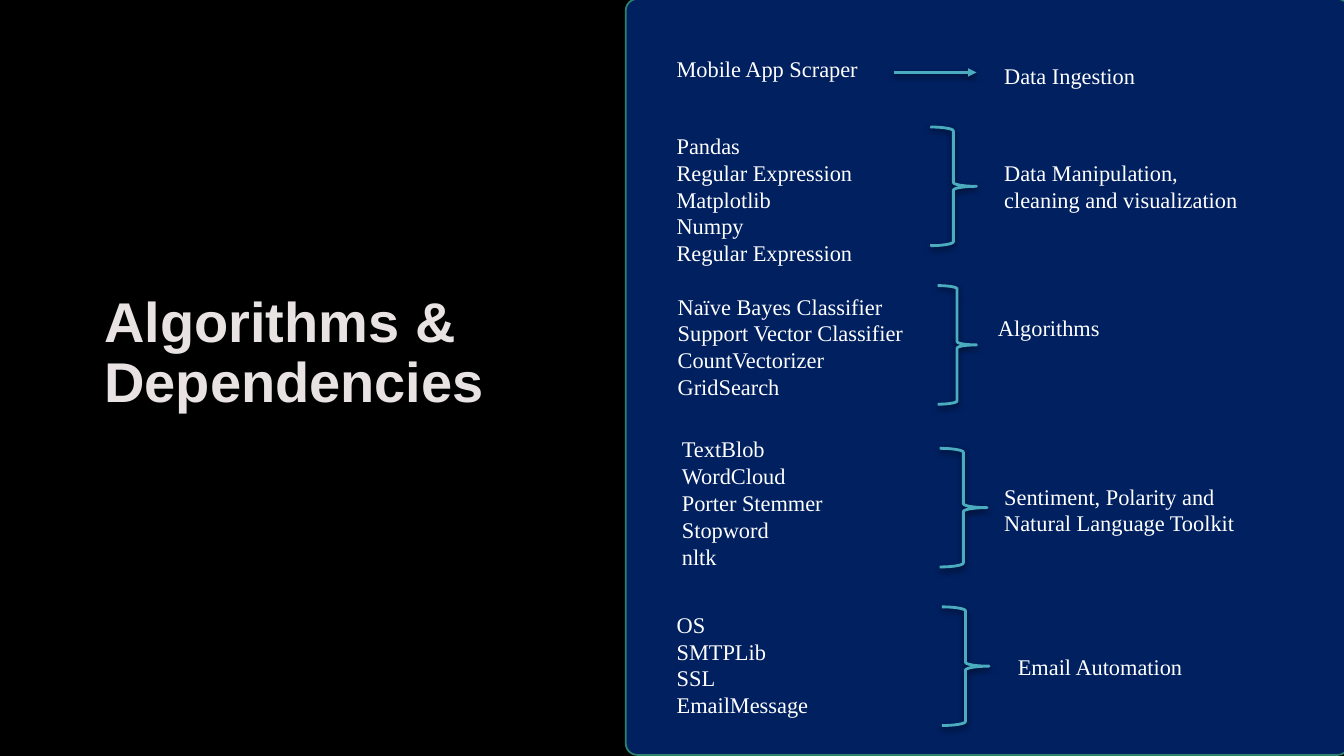
from lxml import etree
from pptx import Presentation
from pptx import util as u
from pptx.dml.color import RGBColor
from pptx.enum import shapes, text
from pptx.oxml import ns, parse_xml

PX = 9525
BLACK, NAVY, GREEN, TEAL, WHITE, PALE = "000000", "002060", "2C836E", "4BACC0", "FFFFFF", "E8E2E3"
SHADOW = (
    f'<a:effectLst {ns.nsdecls("a")}><a:outerShdw blurRad="63500" dist="25400" dir="5400000" '
    f'rotWithShape="0"><a:srgbClr val="{BLACK}"><a:alpha val="60000"/></a:srgbClr>'
    '</a:outerShdw></a:effectLst>'
)


def color(value):
    return RGBColor.from_string(value)


def add_label(left, top, width, lines, rows):
    box = page.shapes.add_textbox(left * PX, top * PX, width * PX, (10 + 26 * rows) * PX)
    frame = box.text_frame
    frame.word_wrap = True
    frame.auto_size = text.MSO_AUTO_SIZE.SHAPE_TO_FIT_TEXT
    frame.text = "\n".join(lines)
    for para in frame.paragraphs:
        para.font.name = "Times New Roman"
        para.font.size = u.Pt(16)
        para.font.color.rgb = color(WHITE)


deck = Presentation()
deck.slide_width, deck.slide_height = 1280 * PX, 720 * PX
page = deck.slides.add_slide(deck.slide_layouts[6])
page.background.fill.solid()
page.background.fill.fore_color.rgb = color(BLACK)

title = page.shapes.add_textbox(90 * PX, 272 * PX, 410 * PX, 252 * PX)
title.text_frame.word_wrap = True
title.text_frame.margin_top = 8 * PX
para = title.text_frame.paragraphs[0]
para.text = "Algorithms & Dependencies"
para.line_spacing = 0.9
para.font.name = "Arial"
para.font.size = u.Pt(40)
para.font.bold = True
para.font.color.rgb = color(PALE)

panel = page.shapes.add_shape(
    shapes.MSO_SHAPE.ROUNDED_RECTANGLE, 596 * PX, -1 * PX, 689 * PX, 720 * PX)
panel.adjustments[0] = 0.016
panel.shadow.inherit = False
panel.fill.solid()
panel.fill.fore_color.rgb = color(NAVY)
panel.line.color.rgb = color(GREEN)
panel.line.width = u.Pt(1.25)

tools = [
    (635, 48, 206, ["Mobile App Scraper"]),
    (635, 121, 236, ["Pandas", "Regular Expression", "Matplotlib", "Numpy", "Regular Expression"]),
    (636, 274, 236, ["Naïve Bayes Classifier", "Support Vector Classifier",
                     "CountVectorizer", "GridSearch"]),
    (640, 410, 186, ["TextBlob", "WordCloud", "Porter Stemmer", "Stopword", "nltk"]),
    (635, 577, 186, ["OS", "SMTPLib", "SSL", "EmailMessage"]),
]
for left, top, width, names in tools:
    add_label(left, top, width, names, len(names))

purposes = [
    (947, 54, "Data Ingestion", 1),
    (947, 147, "Data Manipulation, cleaning and visualization", 2),
    (941, 294, "Algorithms", 1),
    (947, 455, "Sentiment, Polarity and Natural Language Toolkit", 2),
    (960, 617, "Email Automation", 1),
]
for left, top, purpose, rows in purposes:
    add_label(left, top, 248, [purpose], rows)

arrow = page.shapes.add_connector(
    shapes.MSO_CONNECTOR.STRAIGHT, 851 * PX, 69 * PX, 930 * PX, 69 * PX)
marks = [arrow]
for left, top, width in [(886, 121, 44), (893, 272, 37), (895, 427, 45), (897, 578, 45)]:
    brace = page.shapes.add_shape(
        shapes.MSO_SHAPE.RIGHT_BRACE, left * PX, top * PX, width * PX, 113 * PX)
    brace.fill.background()
    marks.append(brace)

for mark in marks:
    mark.line.color.rgb = color(TEAL)
    mark.line.width = u.Pt(2)
    mark._element.spPr.append(parse_xml(SHADOW))
etree.SubElement(arrow.line._get_or_add_ln(), ns.qn("a:tailEnd"), type="triangle")

deck.save("out.pptx")
